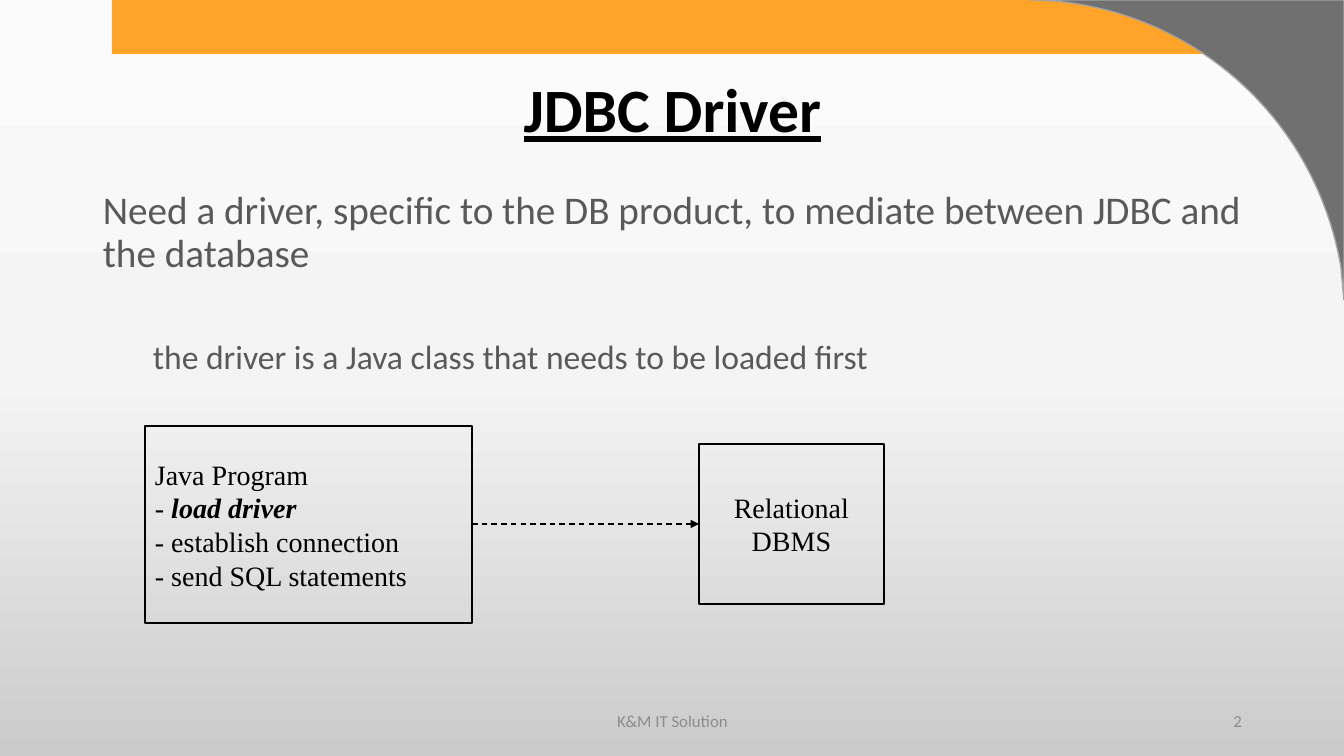
import copy

import pptx
import pptx.dml.color
import pptx.enum.dml
import pptx.enum.shapes
import pptx.enum.text
import pptx.oxml
import pptx.oxml.ns
import pptx.util

SCALE = 914400 / 100.8
ALIGN = pptx.enum.text.PP_ALIGN
ANCHOR = pptx.enum.text.MSO_ANCHOR
RECTANGLE = pptx.enum.shapes.MSO_SHAPE.RECTANGLE
STRAIGHT = pptx.enum.shapes.MSO_CONNECTOR.STRAIGHT


def px(*lengths):
    """Turn pixel lengths into EMU."""
    return [pptx.util.Emu(round(length * SCALE)) for length in lengths]


def rgb(value):
    """Turn a hex string into a colour."""
    return pptx.dml.color.RGBColor.from_string(value)


def write(frame, lines, size, font="Calibri", color="000000", align=ALIGN.LEFT,
          anchor=ANCHOR.MIDDLE, spacing=1.0, before=(), indents=(), **styles):
    """Fill a frame with lines, each a list of (words, run styles) pairs."""
    frame.word_wrap = True
    frame.auto_size = pptx.enum.text.MSO_AUTO_SIZE.NONE
    frame.vertical_anchor = anchor
    sizes = size if isinstance(size, list) else [size] * len(lines)
    for index, line in enumerate(lines):
        paragraph = frame.add_paragraph() if index else frame.paragraphs[0]
        paragraph.alignment = align
        paragraph.line_spacing = spacing
        paragraph.space_before = pptx.util.Pt(before[index] if before else 0)
        if indents:
            properties = paragraph._p.get_or_add_pPr()
            properties.set("marL", str(px(indents[index])[0]))
            properties.set("indent", "0")
        for words, own_styles in [(line, {})] if isinstance(line, str) else line:
            run = paragraph.add_run()
            run.text = words
            run.font.name = font
            run.font.size = pptx.util.Pt(sizes[index])
            run.font.color.rgb = rgb(color)
            for style, value in {**styles, **own_styles}.items():
                setattr(run.font, style, value)


def paint(shape, fill=None, line=None):
    """Set fill and outline, leaving out whichever is not given."""
    shape.shadow.inherit = False
    if fill:
        shape.fill.solid()
        shape.fill.fore_color.rgb = rgb(fill)
    else:
        shape.fill.background()
    if line:
        shape.line.color.rgb = rgb(line)
        shape.line.width = pptx.util.Pt(1)
    else:
        shape.line.fill.background()


def bezier(start, first, second, end, steps=24):
    """Sample points along a cubic curve, without its start."""
    points = []
    for step in range(1, steps + 1):
        t = step / steps
        weights = ((1 - t) ** 3, 3 * t * (1 - t) ** 2, 3 * t * t * (1 - t), t ** 3)
        points.append(tuple(sum(w * p for w, p in zip(weights, axis))
                            for axis in zip(start, first, second, end)))
    return points


def add_backdrop(slide, stops):
    """Shade the slide from top to bottom."""
    fill = slide.background.fill
    fill.gradient()
    fill.gradient_angle = 270
    stop_list = slide.element.find(".//" + pptx.oxml.ns.qn("a:gsLst"))
    stop_list.append(copy.deepcopy(stop_list[-1]))
    for stop, (position, color) in zip(fill.gradient_stops, stops):
        stop.position = position
        stop.color.rgb = rgb(color)


def add_banner(slide, left, top, width, height):
    """Draw the orange band and the grey curved corner at its right end."""
    band = slide.shapes.add_shape(RECTANGLE, *px(left, top, width, height))
    paint(band, fill="FFA329")
    corner_left = left + width - 315
    outline = [(315, 0), (315, 300), (312, 267)]
    outline += bezier((312, 267), (300, 197), (266, 133), (214, 85))
    outline += bezier((214, 85), (157, 32), (83, 2), (6, 0))
    builder = slide.shapes.build_freeform(*px(corner_left, top))
    builder.add_line_segments([px(corner_left + x, top + y) for x, y in outline])
    paint(builder.convert_to_shape(), fill="707070", line="A3A3A3")


def add_title(slide, left, top, width, height):
    """Place and format the title placeholder."""
    title = slide.shapes.title
    title.left, title.top, title.width, title.height = px(left, top, width, height)
    write(title.text_frame, ["JDBC Driver"], 44, align=ALIGN.CENTER, spacing=0.9,
          bold=True, underline=True)


def add_text(slide, box, lines, size, **formats):
    """Place a text box."""
    write(slide.shapes.add_textbox(*px(*box)).text_frame, lines, size, **formats)


def add_explanation(slide, left, top, width, height):
    """Place the main statement and its indented detail."""
    add_text(slide, (left, top, width, height),
             ["Need a driver, specific to the DB product, to mediate between JDBC and the database",
              "the driver is a Java class that needs to be loaded first"],
             [28, 24], color="595959", anchor=ANCHOR.TOP, spacing=0.9,
             before=(10, 46), indents=(0, 50))


def add_node(slide, box, lines, align):
    """Draw one outlined box of the diagram."""
    node = slide.shapes.add_shape(RECTANGLE, *px(*box))
    paint(node, line="000000")
    write(node.text_frame, lines, 20, font="Times New Roman", align=align)


def add_diagram(slide, left, top, width, height):
    """Draw the program, the database and the dashed arrow between them."""
    program_width, database_width, database_height = 327, 185, 160
    middle = top + height // 2
    database_left = left + width - database_width
    add_node(slide, (left, top, program_width, height),
             ["Java Program", [("- ", {}), ("load driver", {"bold": True, "italic": True})],
              "- establish connection", "- send SQL statements"], ALIGN.LEFT)
    add_node(slide, (database_left, middle - database_height // 2, database_width, database_height),
             ["Relational", "DBMS"], ALIGN.CENTER)
    arrow = slide.shapes.add_connector(
        STRAIGHT, *px(left + program_width, middle, database_left, middle))
    arrow.line.color.rgb = rgb("000000")
    arrow.line.width = pptx.util.Pt(1)
    arrow.line.dash_style = pptx.enum.dml.MSO_LINE.DASH
    line = arrow.element.spPr.find(pptx.oxml.ns.qn("a:ln"))
    line.append(pptx.oxml.parse_xml(
        f'<a:tailEnd {pptx.oxml.ns.nsdecls("a")} type="triangle"/>'))
    arrow.element.spPr.append(pptx.oxml.parse_xml(
        f'<a:effectLst {pptx.oxml.ns.nsdecls("a")}/>'))


def add_footer(slide, left, top, width, height):
    """Place the centred organisation name and the slide number."""
    number_width = 302
    organisation_width = width - 2 * number_width + 150
    organisation_left = left + (width - organisation_width) // 2
    for box_left, box_width, words, align in (
            (organisation_left, organisation_width, "K&M IT Solution", ALIGN.CENTER),
            (left + width - number_width, number_width, "2", ALIGN.RIGHT)):
        add_text(slide, (box_left, top, box_width, height), [words], 12,
                 color="8C8C8C", align=align)


def main():
    """Build and save the slide."""
    deck = pptx.Presentation()
    deck.slide_width, deck.slide_height = px(1344, 756)
    slide = deck.slides.add_slide(deck.slide_layouts[5])
    add_backdrop(slide, [(0, "FBFBFB"), (0.5, "F4F4F4"), (1, "CBCBCB")])
    add_banner(slide, 112, 0, 1232, 54)
    add_title(slide, 93, 40, 1159, 146)
    add_explanation(slide, 93, 186, 1159, 480)
    add_diagram(slide, 145, 426, 739, 197)
    add_footer(slide, 93, 701, 1159, 40)
    deck.save("out.pptx")


main()
